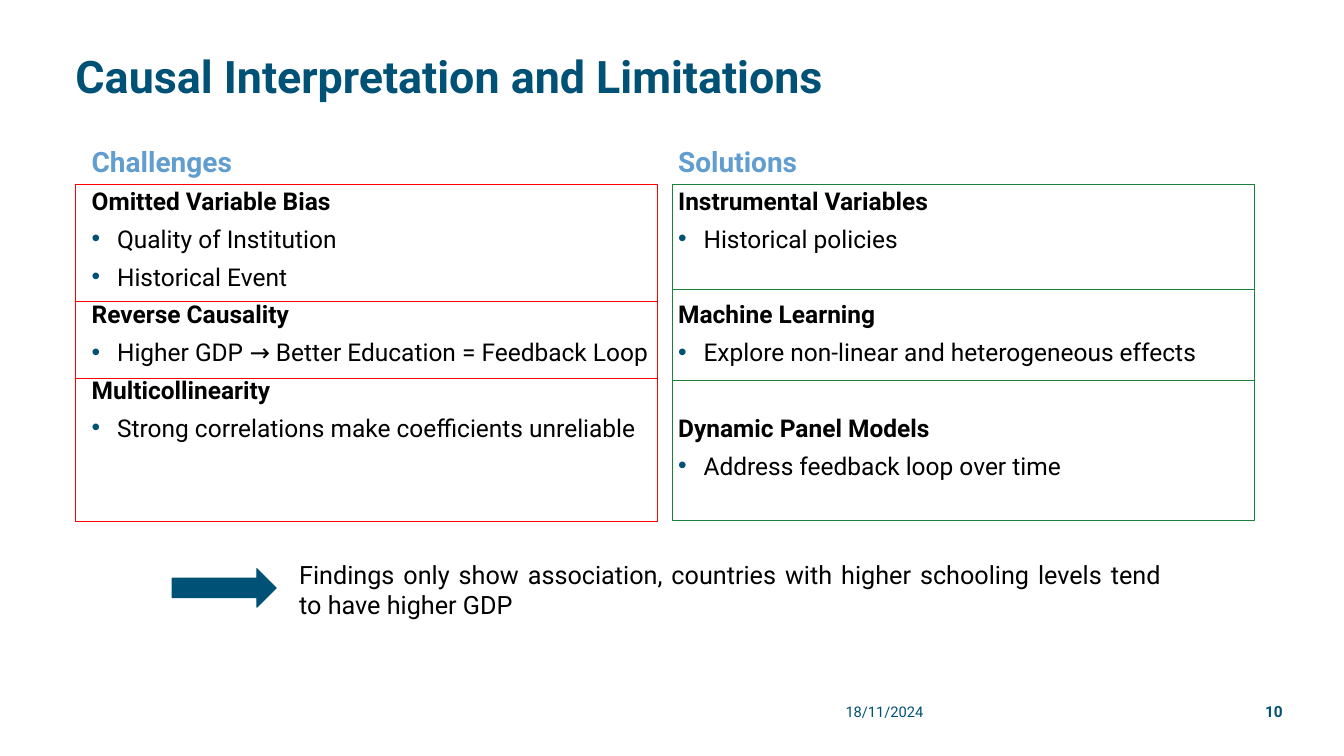
from lxml import etree
from pptx import Presentation
from pptx import util as u
from pptx.dml.color import RGBColor
from pptx.enum import shapes, text
from pptx.oxml import ns

NAVY = RGBColor(0x00, 0x51, 0x76)
SKY = RGBColor(0x61, 0x9E, 0xCF)
BLACK = RGBColor(0x00, 0x00, 0x00)
RED = RGBColor(0xFF, 0x00, 0x00)
GREEN = RGBColor(0x18, 0x80, 0x38)

HEADING, TOPIC, POINT = "heading", "topic", "point"
STYLES = {
    HEADING: dict(size=u.Pt(20), bold=True, color=SKY),
    TOPIC: dict(size=u.Pt(17.5), bold=True, color=BLACK),
    POINT: dict(size=u.Pt(17.5), bold=False, color=BLACK),
}
GAP = 6        # points before each list line
WIDE_GAP = 33  # points before a topic that is set apart

COLUMNS = [
    dict(text_left=2.31, box_left=1.9, color=RED, heights=[2.95, 1.93, 3.61],
         lines=[(HEADING, "Challenges", 0),
                (TOPIC, "Omitted Variable Bias", GAP),
                (POINT, "Quality of Institution", GAP),
                (POINT, "Historical Event", GAP),
                (TOPIC, "Reverse Causality", GAP),
                (POINT, "Higher GDP → Better Education = Feedback Loop", GAP),
                (TOPIC, "Multicollinearity", GAP),
                (POINT, "Strong correlations make coefficients unreliable", GAP)]),
    dict(text_left=17.09, box_left=16.94, color=GREEN, heights=[2.64, 2.29, 3.53],
         lines=[(HEADING, "Solutions", 0),
                (TOPIC, "Instrumental Variables", GAP),
                (POINT, "Historical policies", GAP),
                (TOPIC, "Machine Learning", WIDE_GAP),
                (POINT, "Explore non-linear and heterogeneous effects", GAP),
                (TOPIC, "Dynamic Panel Models", WIDE_GAP),
                (POINT, "Address feedback loop over time", GAP)]),
]


class SlideBuilder:
    font_name = "Roboto"
    line_width = u.Pt(0.75)

    def __init__(self, slide):
        self.slide = slide

    def place(self, shape, *box):
        for name, value in zip(("left", "top", "width", "height"), box):
            setattr(shape, name, u.Cm(value))

    def frame(self, shape, inset=0.0, anchor=text.MSO_ANCHOR.TOP):
        margins = {f"margin_{side}": u.Cm(inset) for side in ("left", "top", "right", "bottom")}
        values = dict(margins, word_wrap=True, vertical_anchor=anchor,
                      auto_size=text.MSO_AUTO_SIZE.NONE)
        for name, value in values.items():
            setattr(shape.text_frame, name, value)
        return shape.text_frame

    def add_words(self, paragraph, words, size, color, bold=False, **layout):
        for name, value in layout.items():
            setattr(paragraph, name, value)
        run = paragraph.add_run()
        run.text = words
        for name, value in dict(name=self.font_name, size=size, bold=bold).items():
            setattr(run.font, name, value)
        run.font.color.rgb = color

    def title(self, words, *box):
        shape = self.slide.shapes.title
        self.place(shape, *box)
        self.add_words(self.frame(shape).paragraphs[0], words, u.Pt(32), NAVY, True,
                       alignment=text.PP_ALIGN.LEFT, line_spacing=0.9)

    def set_bullet(self, paragraph, shown):
        properties = paragraph._p.get_or_add_pPr()
        indent = u.Cm(0.64) if shown else 0
        properties.set("marL", str(indent))
        properties.set("indent", str(-indent))
        if not shown:
            etree.SubElement(properties, ns.qn("a:buNone"))
            return
        color = etree.SubElement(properties, ns.qn("a:buClr"))
        etree.SubElement(color, ns.qn("a:srgbClr"), val=str(NAVY))
        etree.SubElement(properties, ns.qn("a:buFont"), typeface="Arial")
        etree.SubElement(properties, ns.qn("a:buChar"), char="•")

    def body(self, index, lines, *box):
        shape = self.slide.placeholders[index]
        self.place(shape, *box)
        frame = self.frame(shape)
        for number, (kind, words, gap) in enumerate(lines):
            paragraph = frame.add_paragraph() if number else frame.paragraphs[0]
            self.set_bullet(paragraph, kind == POINT)
            self.add_words(paragraph, words, **STYLES[kind], space_before=u.Pt(gap),
                           alignment=text.PP_ALIGN.LEFT)

    def label(self, words, box, size, color, bold=False, inset=0.0,
              anchor=text.MSO_ANCHOR.MIDDLE, alignment=text.PP_ALIGN.LEFT):
        shape = self.slide.shapes.add_textbox(*map(u.Cm, box))
        self.add_words(self.frame(shape, inset, anchor).paragraphs[0], words, u.Pt(size),
                       color, bold, alignment=alignment)

    def shape(self, kind, box, line, fill=None):
        shape = self.slide.shapes.add_shape(kind, *map(u.Cm, box))
        shape.shadow.inherit = False
        if fill is None:
            shape.fill.background()
        else:
            shape.fill.solid()
            shape.fill.fore_color.rgb = fill
        shape.line.color.rgb = line
        shape.line.width = self.line_width


def main():
    presentation = Presentation()
    presentation.slide_width = u.Cm(33.87)
    presentation.slide_height = u.Cm(19.05)
    slide = presentation.slides.add_slide(presentation.slide_layouts[3])
    builder = SlideBuilder(slide)

    # Title
    builder.title("Causal Interpretation and Limitations", 1.9, 1.37, 30.43, 3.38)

    # Two lists, each over a stack of outlined boxes
    for index, column in enumerate(COLUMNS, start=1):
        builder.body(index, column["lines"], column["text_left"], 3.63, 14.45, 9.73)
        top = 4.65
        for height in column["heights"]:
            builder.shape(shapes.MSO_SHAPE.RECTANGLE,
                          (column["box_left"], top, 14.68, height), column["color"])
            top += height

    # Conclusion
    builder.shape(shapes.MSO_SHAPE.RIGHT_ARROW, (4.34, 14.33, 2.62, 0.97), NAVY, NAVY)
    builder.label("Findings only show association, countries with higher schooling levels "
                  "tend to have higher GDP", (7.29, 13.84, 22.23, 2.24), 18, BLACK,
                  inset=0.25, anchor=text.MSO_ANCHOR.TOP, alignment=text.PP_ALIGN.JUSTIFY)

    # Date and slide number
    builder.label("18/11/2024", (21.31, 17.58, 3.4, 0.69), 10.5, NAVY)
    builder.label("10", (24.71, 17.58, 7.62, 0.69), 11, NAVY, bold=True,
                  alignment=text.PP_ALIGN.RIGHT)

    presentation.save("out.pptx")


if __name__ == "__main__":
    main()
